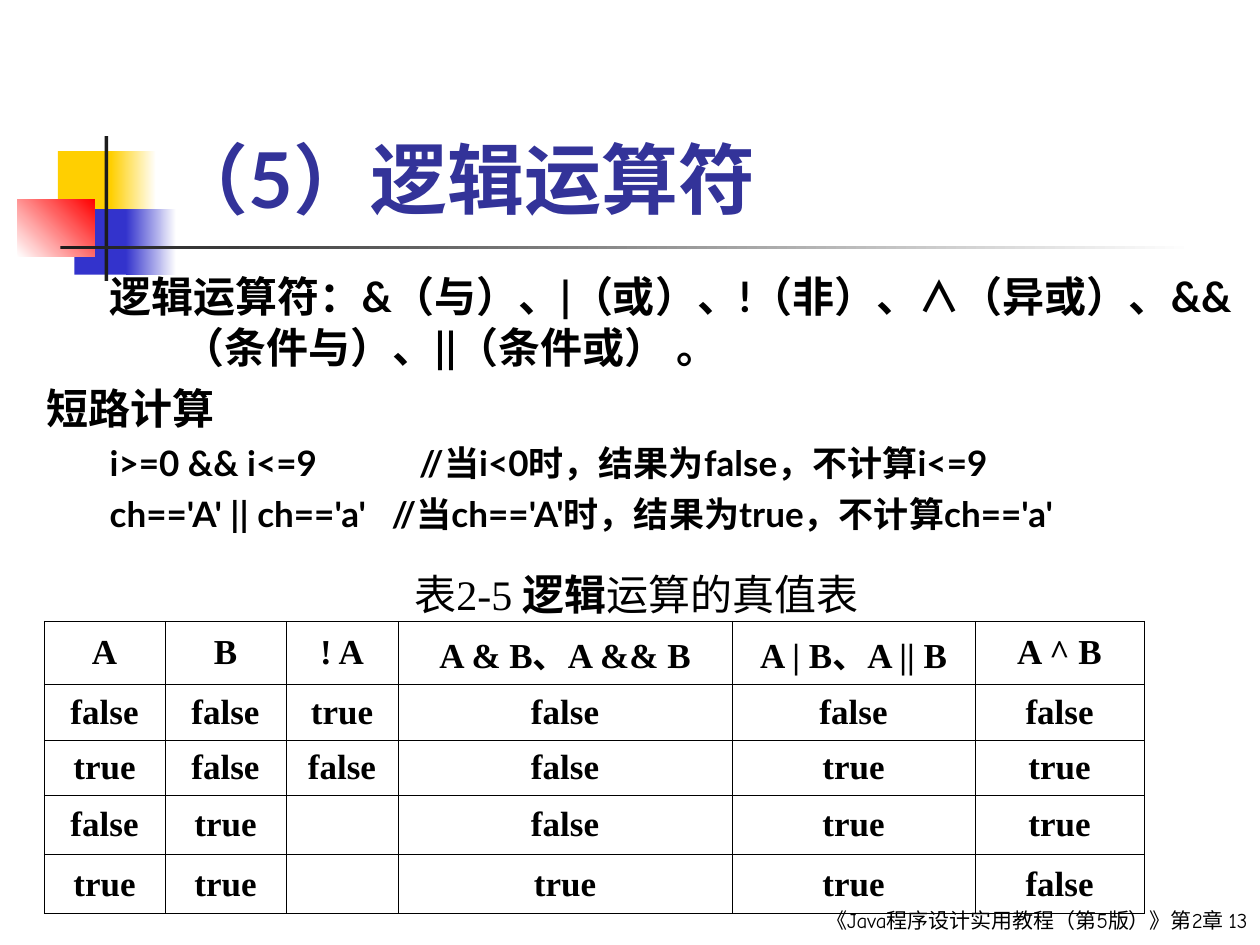
from lxml.etree import SubElement
from pptx import Presentation
from pptx.dml.color import RGBColor
from pptx.enum.shapes import MSO_SHAPE
from pptx.enum.text import MSO_ANCHOR, MSO_AUTO_SIZE, PP_ALIGN
from pptx.oxml.ns import qn
from pptx.util import Inches, Pt

# Content
TITLE = "（5）逻辑运算符"
BODY = [  # text, level, size, space before
    ("逻辑运算符：&（与）、|（或）、!（非）、∧（异或）、&&（条件与）、||（条件或） 。", 1, 24, 0),
    ("短路计算", 0, 24, 6),
    ("i>=0 && i<=9            //当i<0时，结果为false，不计算i<=9", 1, 20, 5),
    ("ch=='A' || ch=='a'   //当ch=='A'时，结果为true，不计算ch=='a'", 1, 20, 5),
]
INDENTS = {0: (0.67, -0.67), 1: (1.08, -0.58)}
CJK, SERIF = "Noto Sans CJK SC", "Times New Roman"
CAPTION = [("表", CJK, False), ("2-5 ", SERIF, False),
           ("逻辑", SERIF, True), ("运算的真值表", CJK, False)]
TRUTH = [
    ["A", "B", "! A", "A & B、A && B", "A | B、A || B", "A ^ B"],
    ["false", "false", "true", "false", "false", "false"],
    ["true", "false", "false", "false", "true", "true"],
    ["false", "true", "", "false", "true", "true"],
    ["true", "true", "", "true", "true", "false"],
]
COLS = [0.96, 0.96, 0.89, 2.65, 1.93, 1.34]
ROWS = [0.5, 0.44, 0.44, 0.47, 0.47]
FOOTER = "《Java程序设计实用教程（第5版）》第2章 13"
DECOR = [  # left, top, width, height, colours, gradient angle
    (0.46, 1.2, 0.48, 0.52, ["FFCF01"], 0),
    (0.88, 1.2, 0.36, 0.52, ["FFCF01", "FFFFFF"], 0),
    (0.59, 1.66, 0.46, 0.52, ["3333CC"], 0),
    (1, 1.66, 0.4, 0.52, ["3333CC", "FFFFFF"], 0),
    (0.14, 1.58, 0.61, 0.46, ["FFFFFF", "FF0000"], 45),
    (0.83, 1.08, 0.03, 1.15, ["1C1C1C"], 0),
    (0.48, 1.95, 9, 0.03, ["1C1C1C", "FFFFFF"], 0),
]


def rgb(value):
    return RGBColor.from_string(value)


def set_font(font, name, size, color="000000", bold=False):
    font.name, font.size, font.bold = name, Pt(size), bold
    font.color.rgb = rgb(color)


def place(sp, left, top, width, height):
    sp.left, sp.top = Inches(left), Inches(top)
    sp.width, sp.height = Inches(width), Inches(height)


def add_text(s, *box):
    tf = s.shapes.add_textbox(*map(Inches, box)).text_frame
    tf.word_wrap = True
    return tf


def add_borders(cell):
    tc_pr = cell._tc.get_or_add_tcPr()
    for i, side in enumerate(("lnL", "lnR", "lnT", "lnB")):
        ln = tc_pr.makeelement(qn(f"a:{side}"), {"w": str(Pt(0.45))})
        fill = SubElement(ln, qn("a:solidFill"))
        SubElement(fill, qn("a:srgbClr"), val="000000")
        tc_pr.insert(i, ln)


prs = Presentation()
prs.slide_width, prs.slide_height = Inches(10), Inches(7.5)
s = prs.slides.add_slide(prs.slide_layouts[1])

# Decoration
for *box, colors, angle in DECOR:
    sp = s.shapes.add_shape(MSO_SHAPE.RECTANGLE, *map(Inches, box))
    sp.shadow.inherit = False
    sp.line.fill.background()
    if len(colors) == 1:
        sp.fill.solid()
        sp.fill.fore_color.rgb = rgb(colors[0])
    else:
        sp.fill.gradient()
        sp.fill.gradient_angle = angle
        for stop, color in zip(sp.fill.gradient_stops, colors):
            stop.color.rgb = rgb(color)

# Footer
p = add_text(s, 5.87, 7.15, 4.13, 0.35).paragraphs[0]
p.text, p.alignment = FOOTER, PP_ALIGN.RIGHT
set_font(p.font, "Comic Neue", 12)

# Title and body, in front of the decoration
title, body = s.shapes.title, s.placeholders[1]
for ph in (title, body):
    s.shapes._spTree.append(ph._element)
    ph.text_frame.auto_size = MSO_AUTO_SIZE.NONE
place(title, 1.26, 0.91, 8.52, 0.92)
title.text_frame.vertical_anchor = MSO_ANCHOR.BOTTOM
p = title.text_frame.paragraphs[0]
p.text, p.alignment = TITLE, PP_ALIGN.LEFT
set_font(p.font, "Lato", 44, "333399", True)

place(body, 0.27, 2.1, 9.73, 2.36)
tf = body.text_frame
for i, (text, level, size, before) in enumerate(BODY):
    p = tf.add_paragraph() if i else tf.paragraphs[0]
    p.text, p.level, p.space_before = text, level, Pt(before)
    p_pr = p._p.get_or_add_pPr()
    margin, indent = INDENTS[level]
    p_pr.set("marL", str(Inches(margin)))
    p_pr.set("indent", str(Inches(indent)))
    SubElement(p_pr, qn("a:buNone"))
    set_font(p.font, "Lato", size, bold=True)

# Truth table
table = s.shapes.add_table(len(ROWS), len(COLS), Inches(0.35), Inches(4.93),
                           Inches(sum(COLS)), Inches(sum(ROWS))).table
table.first_row = table.horz_banding = False
for col, width in zip(table.columns, COLS):
    col.width = Inches(width)
for row, height, texts in zip(table.rows, ROWS, TRUTH):
    row.height = Inches(height)
    for cell, text in zip(row.cells, texts):
        cell.fill.background()
        cell.vertical_anchor = MSO_ANCHOR.MIDDLE
        add_borders(cell)
        p = cell.text_frame.paragraphs[0]
        p.text, p.alignment = text, PP_ALIGN.CENTER
        set_font(p.font, SERIF, 20, bold=True)

# Table caption
tf = add_text(s, 3.19, 4.46, 4.18, 0.5)
tf.vertical_anchor = MSO_ANCHOR.MIDDLE
for text, name, bold in CAPTION:
    r = tf.paragraphs[0].add_run()
    r.text = text
    set_font(r.font, name, 24, bold=bold)

prs.save("out.pptx")
